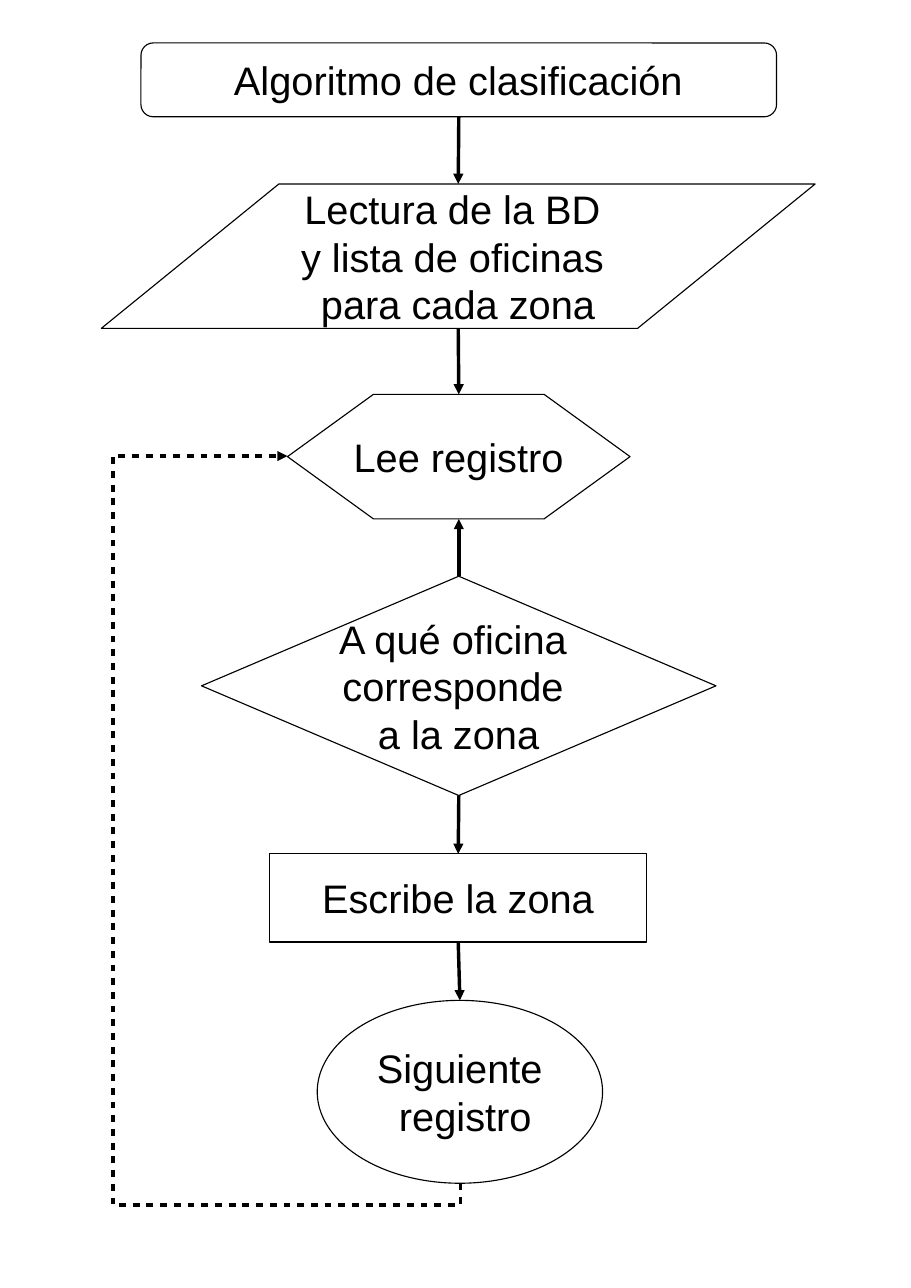
from lxml import etree
from pptx import Presentation
from pptx.enum.shapes import MSO_CONNECTOR, MSO_SHAPE
from pptx.enum.text import MSO_ANCHOR, PP_ALIGN
from pptx.dml.color import RGBColor
from pptx.oxml.ns import qn
from pptx.util import Inches, Pt

STRAIGHT, ELBOW = MSO_CONNECTOR.STRAIGHT, MSO_CONNECTOR.ELBOW
ROUNDED = MSO_SHAPE.ROUNDED_RECTANGLE
PARALLELOGRAM = MSO_SHAPE.PARALLELOGRAM
HEXAGON = MSO_SHAPE.HEXAGON
DIAMOND = MSO_SHAPE.DIAMOND
RECTANGLE = MSO_SHAPE.RECTANGLE
OVAL = MSO_SHAPE.OVAL
MIDDLE, CENTER = MSO_ANCHOR.MIDDLE, PP_ALIGN.CENTER
TOP, BOTTOM = 0, 2
GLUED = (ROUNDED, DIAMOND, RECTANGLE, OVAL)


def color(code):
    return RGBColor.from_string(code)


class FlowChart:
    """Draws flow chart steps and arrows on one page in a single style."""

    ink, paper = "000000", "FFFFFF"
    font = {"name": "Arial", "size": Pt(26)}
    frame_format = {"word_wrap": False, "vertical_anchor": MIDDLE}

    def __init__(self, page):
        self.page = page

    def step(self, kind, left, top, width, height, lines, adjustment=None):
        box = self.page.shapes.add_shape(
            kind, Inches(left), Inches(top), Inches(width), Inches(height))
        box.shadow.inherit = False
        if adjustment is not None:
            box.adjustments[0] = adjustment
        box.fill.solid()
        box.fill.fore_color.rgb = color(self.paper)
        box.line.color.rgb = color(self.ink)
        box.line.width = Pt(0)
        frame = box.text_frame
        for name, value in self.frame_format.items():
            setattr(frame, name, value)
        for index, line in enumerate(lines):
            para = frame.add_paragraph() if index else frame.paragraphs[0]
            para.alignment = CENTER
            span = para.add_run()
            span.text = line
            for name, value in self.font.items():
                setattr(span.font, name, value)
            span.font.color.rgb = color(self.ink)
        return box

    def connector(self, kind, start, end, dashed=False):
        link = self.page.shapes.add_connector(
            kind, *(Inches(value) for value in (*start, *end)))
        link.line.color.rgb = color(self.ink)
        link.line.width = Pt(2.25)
        outline = link.line._get_or_add_ln()
        if dashed:
            dashes = etree.SubElement(outline, qn("a:custDash"))
            etree.SubElement(dashes, qn("a:ds"), d="200000", sp="200000")
        etree.SubElement(outline, qn("a:tailEnd"), type="triangle")
        etree.SubElement(link._element.spPr, qn("a:effectLst"))
        return link

    def arrow(self, source, target):
        down = source.top < target.top
        sides = (BOTTOM, TOP) if down else (TOP, BOTTOM)
        points = [
            ((box.left + box.width / 2) / Inches(1),
             (box.top + (box.height if side == BOTTOM else 0)) / Inches(1))
            for box, side in zip((source, target), sides)]
        link = self.connector(STRAIGHT, *points)
        if source.auto_shape_type in GLUED:
            link.begin_connect(source, sides[0])
        if target.auto_shape_type in GLUED:
            link.end_connect(target, sides[1])

    def loop(self, start, end, adjustments):
        across, rise = start[0] - end[0], start[1] - end[1]
        middle_x, middle_y = (start[0] + end[0]) / 2, (start[1] + end[1]) / 2
        link = self.connector(
            ELBOW,
            (middle_x - rise / 2, middle_y + across / 2),
            (middle_x + rise / 2, middle_y - across / 2), dashed=True)
        properties = link._element.spPr
        properties.find(qn("a:xfrm")).set("rot", str(270 * 60000))
        geometry = properties.find(qn("a:prstGeom"))
        geometry.set("prst", "bentConnector4")
        guides = geometry.find(qn("a:avLst"))
        for number, value in enumerate(adjustments, 1):
            etree.SubElement(guides, qn("a:gd"), name=f"adj{number}",
                             fmla=f"val {round(value * 100000)}")


def main():
    deck = Presentation()
    deck.slide_width, deck.slide_height = Inches(8.27), Inches(11.69)
    chart = FlowChart(deck.slides.add_slide(deck.slide_layouts[6]))

    title = chart.step(ROUNDED, 1.28, 0.39, 5.77, 0.67,
                       ["Algoritmo de clasificación"])
    reading = chart.step(
        PARALLELOGRAM, 0.92, 1.67, 6.48, 1.31,
        ["Lectura de la BD ", "y lista de oficinas ", "para cada zona"], 1.23)
    record = chart.step(HEXAGON, 2.61, 3.58, 3.11, 1.13,
                        ["Lee registro"], 0.69)
    office = chart.step(DIAMOND, 1.83, 5.23, 4.67, 1.99,
                        ["A qué oficina ", "corresponde ", "a la zona"])
    writing = chart.step(RECTANGLE, 2.45, 7.75, 3.42, 0.8,
                         ["Escribe la zona"])
    following = chart.step(OVAL, 2.88, 9.08, 2.59, 1.66,
                           ["Siguiente", " registro"])

    for source, target in ((title, reading), (reading, record),
                           (office, record), (office, writing),
                           (writing, following)):
        chart.arrow(source, target)
    chart.loop((4.18, 10.74), (2.61, 4.14), (-0.03, 2.01))
    deck.save("out.pptx")


if __name__ == "__main__":
    main()
